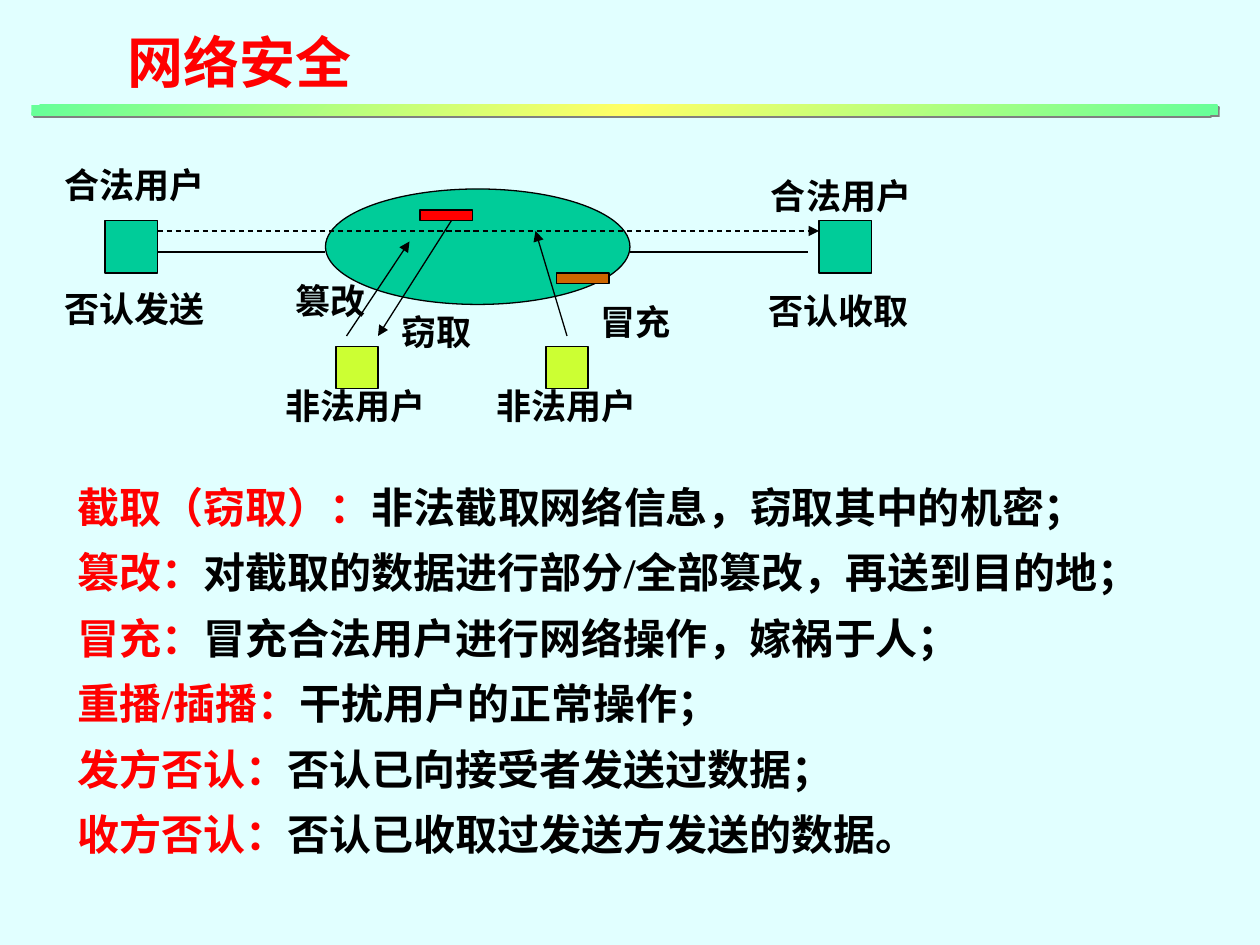
import lxml.etree
import pptx
import pptx.dml.color
import pptx.enum.dml
import pptx.enum.shapes
import pptx.enum.text
import pptx.oxml
import pptx.oxml.ns
import pptx.util

Pt = pptx.util.Pt
SHAPES = pptx.enum.shapes.MSO_SHAPE
RED, BLACK, TEAL, LIME = "FF0000", "000000", "00CC99", "CCFF33"
CHINESE_FONT = "Noto Sans CJK SC"
LATIN_FONT = "Times New Roman"


def color(hex_value):
    return pptx.dml.color.RGBColor.from_string(hex_value)


def add_element(parent, tag, **attributes):
    element = lxml.etree.SubElement(parent, pptx.oxml.ns.qn(tag))
    for name, value in attributes.items():
        element.set(name, str(value))
    return element


def add_text(shapes, box, paragraphs, size, font=LATIN_FONT, wrap=False, spacing=1.0):
    """Each paragraph is a list of (text, colour) runs."""
    frame = shapes.add_textbox(*map(Pt, box)).text_frame
    frame_format = {
        "word_wrap": wrap,
        "auto_size": pptx.enum.text.MSO_AUTO_SIZE.SHAPE_TO_FIT_TEXT,
    }
    for name, value in frame_format.items():
        setattr(frame, name, value)
    run_format = {"size": Pt(size), "bold": True, "name": font}
    for index, runs in enumerate(paragraphs):
        paragraph = frame.add_paragraph() if index else frame.paragraphs[0]
        paragraph.line_spacing = spacing
        for text, hex_value in runs:
            run = paragraph.add_run()
            run.text = text
            for name, value in run_format.items():
                setattr(run.font, name, value)
            run.font.color.rgb = color(hex_value)
            add_element(run.font._element, "a:ea", typeface=CHINESE_FONT)


def add_shape(shapes, kind, box, fill):
    shape = shapes.add_shape(kind, *map(Pt, box))
    shape.shadow.inherit = False
    shape.fill.solid()
    shape.fill.fore_color.rgb = color(fill)
    shape.line.color.rgb = color(BLACK)
    shape.line.width = Pt(0.75)


def add_line(shapes, start, end, arrow=False, dashed=False):
    connector = shapes.add_connector(
        pptx.enum.shapes.MSO_CONNECTOR.STRAIGHT, *map(Pt, start + end))
    connector.line.color.rgb = color(BLACK)
    connector.line.width = Pt(0.75)
    if dashed:
        connector.line.dash_style = pptx.enum.dml.MSO_LINE.DASH
    if arrow:
        add_element(connector.line._get_or_add_ln(), "a:tailEnd", type="triangle")
    add_element(connector._element.spPr, "a:effectLst")


def add_header(slide, box):
    left, top, width, height = box
    add_text(slide.shapes, (left + 48, top, 264, 46), [[("网络安全", RED)]],
             32, CHINESE_FONT, wrap=True)

    # Gradient rule with a hard shadow
    rule = slide.shapes.add_shape(
        SHAPES.RECTANGLE, Pt(left), Pt(top + height - 6), Pt(width), Pt(6))
    rule.line.fill.background()
    rule.fill.gradient()
    gradient = rule._element.spPr.find(pptx.oxml.ns.qn("a:gradFill"))
    for child in list(gradient):
        gradient.remove(child)
    stops = add_element(gradient, "a:gsLst")
    for position, hex_value in ((0, "66FF99"), (50000, "FFFF66"), (100000, "66FF99")):
        add_element(add_element(stops, "a:gs", pos=position), "a:srgbClr", val=hex_value)
    add_element(gradient, "a:lin", ang=2700000, scaled=1)
    effects = add_element(rule._element.spPr, "a:effectLst")
    shadow = add_element(effects, "a:outerShdw", dist=Pt(1.4), dir=2700000,
                         algn="ctr", rotWithShape=0)
    add_element(shadow, "a:srgbClr", val="808080")


def add_attack_diagram(slide, box):
    left, top, width, height = box
    shapes = slide.shapes.add_group_shape().shapes
    user, intruder = 30, 24
    user_left, user_right = 30, width - user

    def place(x, y, *size):
        return (left + x, top + y, *size)

    # Users and the network between them
    for x in (user_left, user_right):
        add_shape(shapes, SHAPES.RECTANGLE, place(x, 36, user, user), TEAL)
    add_shape(shapes, SHAPES.OVAL, place(156, 18, 174, 66), TEAL)

    # Links
    add_line(shapes, place(60, 42), place(user_right, 42), arrow=True, dashed=True)
    add_line(shapes, place(60, 54), place(156, 54))
    add_line(shapes, place(330, 54), place(432, 54))

    # Messages and intruders
    for x, y, fill in ((210, 30, RED), (288, 66, "CC6600")):
        add_shape(shapes, SHAPES.RECTANGLE, place(x, y, 30, 6), fill)
    for x in (162, 282):
        add_shape(shapes, SHAPES.RECTANGLE,
                  place(x, height - 50, intruder, intruder), LIME)

    # Attacks: eavesdropping, tampering, impersonation
    for start, end in (((228, 36), (186, 102)),
                       ((168, 102), (204, 48)),
                       ((294, 102), (276, 42))):
        add_line(shapes, place(*start), place(*end), arrow=True)

    # Labels
    labels = (
        ("窃取", 192.5, 84), ("篡改", 132, 66), ("冒充", 306, 78),
        ("合法用户", 0, 0), ("合法用户", 403.5, 6),
        ("否认发送", 0, 70.5), ("否认收取", 402, 72),
        ("非法用户", 126, 126), ("非法用户", 246.5, 126),
    )
    for text, x, y in labels:
        add_text(shapes, place(x, y, 20 * len(text) + 14.4, 32),
                 [[(text, BLACK)]], 20)


def add_definitions(slide, box):
    definitions = (
        ("截取（窃取）：", "非法截取网络信息，窃取其中的机密；"),
        ("篡改：", "对截取的数据进行部分/全部篡改，再送到目的地；"),
        ("冒充：", "冒充合法用户进行网络操作，嫁祸于人；"),
        ("重播/插播：", "干扰用户的正常操作；"),
        ("发方否认：", "否认已向接受者发送过数据；"),
        ("收方否认：", "否认已收取过发送方发送的数据。"),
    )
    paragraphs = [[(term, RED), (meaning, BLACK)] for term, meaning in definitions]
    add_text(slide.shapes, box, paragraphs, 24, spacing=1.3)


def main():
    presentation = pptx.Presentation()
    presentation.slide_width = Pt(720)
    presentation.slide_height = Pt(540)
    slide = presentation.slides.add_slide(presentation.slide_layouts[6])
    slide.background.fill.solid()
    slide.background.fill.fore_color.rgb = color("E1FFFF")

    add_header(slide, (18, 12, 678, 54))
    add_attack_diagram(slide, (30, 90, 468, 158))
    add_definitions(slide, (37.5, 263, 632, 232))
    presentation.save("out.pptx")


if __name__ == "__main__":
    main()
